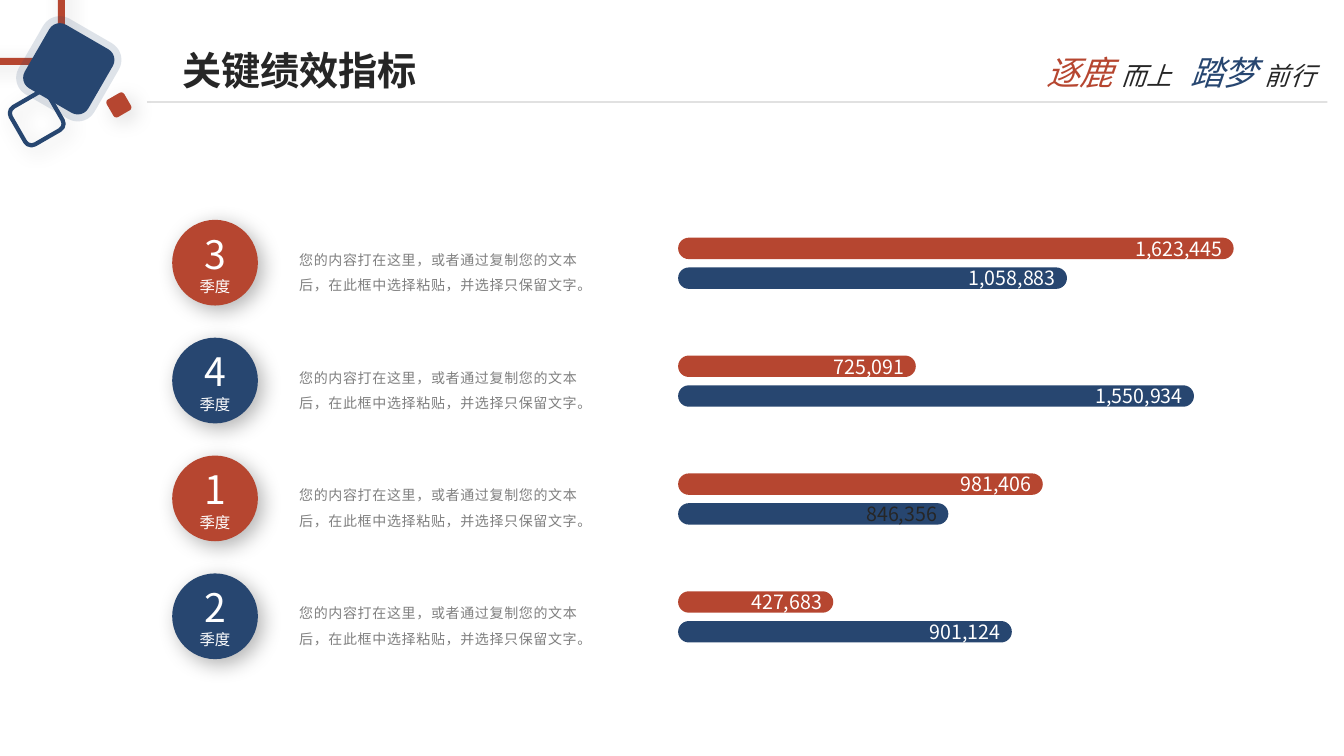
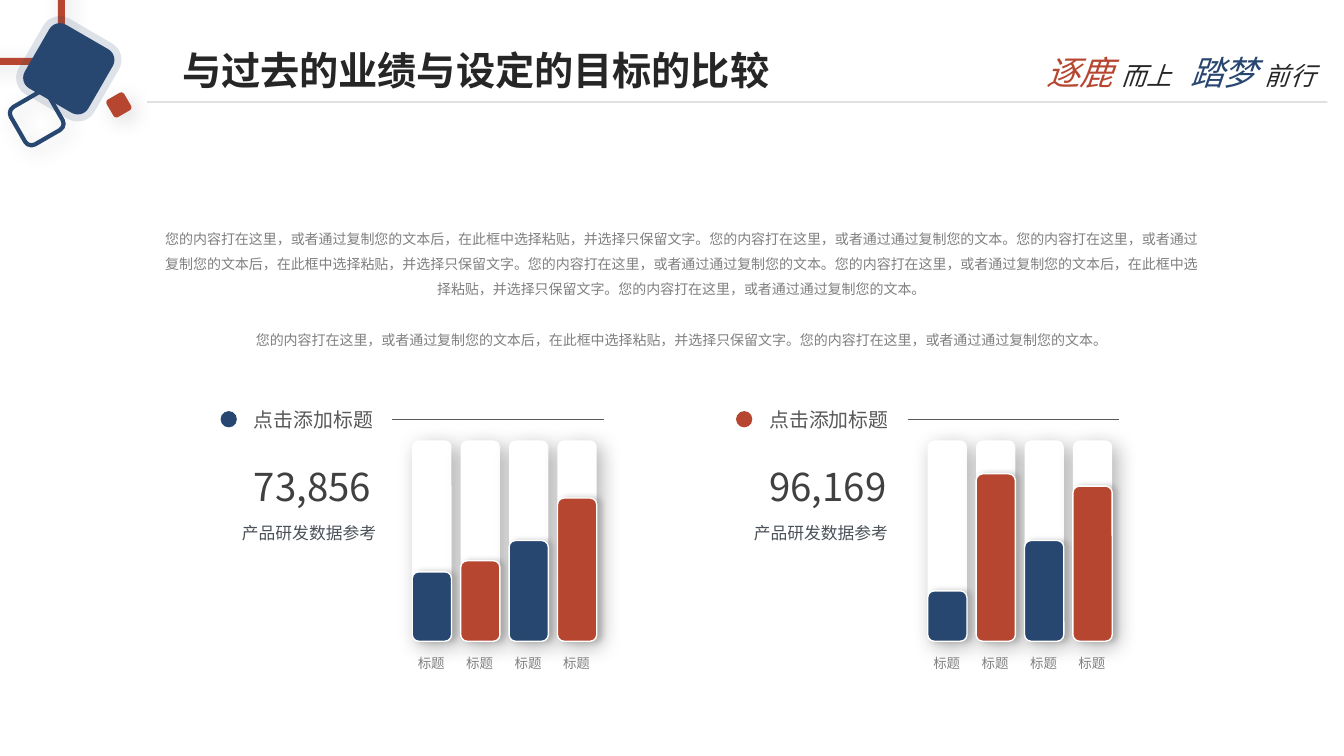
from lxml import etree
from pptx import Presentation
from pptx.dml.color import RGBColor
from pptx.enum.shapes import MSO_CONNECTOR, MSO_SHAPE
from pptx.enum.text import MSO_ANCHOR, PP_ALIGN
from pptx.oxml.ns import qn
from pptx.util import Cm, Pt

ROUND, OVAL = MSO_SHAPE.ROUNDED_RECTANGLE, MSO_SHAPE.OVAL
STRAIGHT = MSO_CONNECTOR.STRAIGHT
TOP, MIDDLE = MSO_ANCHOR.TOP, MSO_ANCHOR.MIDDLE
LEFT, CENTER, RIGHT, JUSTIFY = PP_ALIGN.LEFT, PP_ALIGN.CENTER, PP_ALIGN.RIGHT, PP_ALIGN.JUSTIFY

FONT = "Noto Sans CJK SC"
RED, BLUE, WHITE = "B64630", "274670", "FFFFFF"
INK, DARK, SLATE, GREY, PALE = "262626", "404040", "595959", "808080", "BFBFBF"
SOFT = ("000000", 15, 15, 5, 45)
DEEP = ("000000", 30, 15, 5, 45)
THIN = ("000000", 15, 5, 2, 45)
GLOW = ("808080", 40, 4, 3, 0)
INSET = (0.25, 0.13, 0.25, 0.13)

HINT = "您的内容打在这里，或者通过复制您的文本后，在此框中选择粘贴，并选择只保留文字。"
MORE = "您的内容打在这里，或者通过通过复制您的文本。"


def rgb(code):
    return RGBColor.from_string(code)


class Deck:
    """Holds the shared style and the current slide."""

    def __init__(self):
        self.prs = Presentation()
        self.prs.slide_width, self.prs.slide_height = Cm(33.87), Cm(19.05)
        self.slide = None

    def page(self, title, width):
        self.slide = self.prs.slides.add_slide(self.prs.slide_layouts[6])
        self.line(3.71, 33.45, 2.57, PALE, 1, alpha=70, shade=THIN)
        self.shape(ROUND, -0.91, -0.91, 2.46, 2.46, line=(RED, 5), shade=SOFT)
        self.shape(ROUND, 0.38, 2.44, 1.09, 1.09, line=(BLUE, 3), shade=SOFT, turn=60)
        self.shape(ROUND, 0.81, 0.81, 1.85, 1.85, BLUE, (BLUE, 10, 15), turn=30)
        self.shape(ROUND, 2.74, 2.39, 0.51, 0.51, RED, shade=SOFT, turn=60)
        big, small = {"size": 24, "italic": True}, {"size": 18, "italic": True, "color": INK}
        motto = [("逐鹿 ", {**big, "color": RED}), ("而上", small), (" ", {**big, "spc": 800}),
                 ("踏梦 ", {**big, "color": BLUE}), ("前行", small)]
        self.text(25.76, 1.17, 8, 1.27, [motto], align=CENTER)
        self.text(4.34, 0.81, width, 1.9, [[(title, {"size": 28, "bold": True, "color": INK})]],
                  anchor=MIDDLE)

    def shadow(self, item, shade):
        props = item._element.spPr
        effect = props.find(qn("a:effectLst"))
        if effect is None:
            effect = etree.SubElement(props, qn("a:effectLst"))
        if shade:
            color, alpha, blur, dist, angle = shade
            outer = etree.SubElement(effect, qn("a:outerShdw"), blurRad=str(Pt(blur)),
                                     dist=str(Pt(dist)), dir=str(angle * 60000),
                                     algn="tl", rotWithShape="0")
            tint = etree.SubElement(outer, qn("a:srgbClr"), val=color)
            etree.SubElement(tint, qn("a:alpha"), val=str(alpha * 1000))

    def stroke(self, item, color, width, alpha=100):
        item.line.color.rgb, item.line.width = rgb(color), Pt(width)
        if alpha < 100:
            tint = next(item._element.spPr.find(qn("a:ln")).iter(qn("a:srgbClr")))
            etree.SubElement(tint, qn("a:alpha"), val=str(alpha * 1000))

    def line(self, start, end, y, color, width, alpha=100, shade=None):
        item = self.slide.shapes.add_connector(STRAIGHT, Cm(start), Cm(y), Cm(end), Cm(y))
        self.stroke(item, color, width, alpha)
        self.shadow(item, shade)

    def shape(self, kind, x, y, w, h, fill=None, line=None, shade=None, turn=0, curve=None):
        item = self.slide.shapes.add_shape(kind, Cm(x), Cm(y), Cm(w), Cm(h))
        item.shadow.inherit = False
        item.rotation = turn
        if curve is not None:
            item.adjustments[0] = curve
        if fill:
            item.fill.solid()
            item.fill.fore_color.rgb = rgb(fill)
        else:
            item.fill.background()
        if line:
            self.stroke(item, *line)
        else:
            item.line.fill.background()
        self.shadow(item, shade)
        return item

    def text(self, x, y, w, h, paras, **form):
        box = self.slide.shapes.add_textbox(Cm(x), Cm(y), Cm(w), Cm(h))
        self.words(box.text_frame, paras, **form)

    def words(self, frame, paras, align=LEFT, anchor=TOP, inset=INSET, wrap=True,
              lead=None, gap=0):
        left, top, right, bottom = map(Cm, inset)
        form = {"margin_left": left, "margin_top": top, "margin_right": right,
                "margin_bottom": bottom, "word_wrap": wrap, "vertical_anchor": anchor}
        for key, value in form.items():
            setattr(frame, key, value)
        for i, runs in enumerate(paras):
            para = frame.add_paragraph() if i else frame.paragraphs[0]
            style = {"alignment": align, "line_spacing": lead,
                     "space_before": Pt(gap) if i else None}
            for key, value in style.items():
                setattr(para, key, value)
            for text, look in runs:
                self.piece(para, text, look)

    def piece(self, para, text, look):
        run = para.add_run()
        run.text = text
        form = {"name": FONT, "size": Pt(look["size"]), "bold": look.get("bold", False),
                "italic": look.get("italic", False)}
        for key, value in form.items():
            setattr(run.font, key, value)
        run.font.color.rgb = rgb(look.get("color", INK))
        props = run._r.get_or_add_rPr()
        etree.SubElement(props, qn("a:ea"), typeface=FONT)
        if "spc" in look:
            props.set("spc", str(look["spc"]))

    def badge(self, y, digit, fill):
        item = self.shape(OVAL, 4.34, y, 2.16, 2.16, fill, shade=DEEP)
        paras = [[(digit, {"size": 28, "color": WHITE})], [("季度", {"size": 11, "color": WHITE})]]
        self.words(item.text_frame, paras, align=CENTER, anchor=MIDDLE)

    def bar(self, y, width, value, fill, color):
        item = self.shape(ROUND, 17.09, y, width, 0.54, fill, curve=0.5)
        self.words(item.text_frame, [[(value, {"size": 14, "color": color})]],
                   align=RIGHT, anchor=MIDDLE, inset=(0, 0.13, 0.2, 0.13))

    def quarter(self, y, digit, fill, bars):
        for i, (width, value, color) in enumerate(bars):
            self.bar(y + 0.45 + 0.75 * i, width, value, (RED, BLUE)[i], color)
        self.text(7.54, y + 0.58, 7.01, 1.22, [[(HINT, {"size": 10, "color": GREY, "spc": 40})]],
                  align=JUSTIFY, inset=(0, 0, 0, 0), lead=Pt(18))
        self.badge(y, digit, fill)

    def panel(self, x, fill, total, note, bars):
        self.shape(OVAL, x, 10.36, 0.41, 0.41, fill)
        self.text(x + 0.59, 10.13, 3.56, 0.86,
                  [[("点击添加标题", {"size": 14.2, "color": SLATE})]], wrap=False)
        self.line(x + 4.32, x + 9.65, 10.57, SLATE, 0.5)
        self.text(x + 0.59, 11.53, 3.48, 1.42,
                  [[(total, {"size": 27.4, "color": DARK})]], wrap=False)
        spots = [x + 4.83 + 1.22 * i for i in range(len(bars))]
        for left in spots:
            self.shape(ROUND, left, 11.1, 0.99, 5.06, WHITE, shade=DEEP)
        for i, (left, high) in enumerate(zip(spots, bars)):
            self.shape(ROUND, left, 16.16 - high, 0.99, high, (BLUE, RED)[i % 2],
                       (WHITE, 1), GLOW)
            self.text(left - 0.11, 16.38, 1.19, 0.66,
                      [[("标题", {"size": 9.6, "color": GREY})]], wrap=False)
        self.text(note, 13.03, 3.94, 0.76,
                  [[("产品研发数据参考", {"size": 12, "color": "4C525A"})]],
                  align=CENTER, wrap=False)


def main():
    deck = Deck()
    deck.page("关键绩效指标", 8.51)
    rows = [
        ("3", RED, [(14, "1,623,445", WHITE), (9.8, "1,058,883", WHITE)]),
        ("4", BLUE, [(5.99, "725,091", WHITE), (13, "1,550,934", WHITE)]),
        ("1", RED, [(9.19, "981,406", WHITE), (6.81, "846,356", INK)]),
        ("2", BLUE, [(3.91, "427,683", WHITE), (8.41, "901,124", WHITE)]),
    ]
    for i, row in enumerate(rows):
        deck.quarter(5.54 + 2.97 * i, *row)

    deck.page("与过去的业绩与设定的目标的比较", 16.18)
    look = {"size": 10, "color": GREY}
    body = HINT + MORE + HINT + MORE + HINT + MORE
    deck.text(3.78, 5.46, 26.77, 3.45, [[(body, look)], [(HINT + MORE, look)]],
              align=CENTER, lead=1.5, gap=18)
    deck.panel(5.56, BLUE, "73,856", 5.82, [1.75, 2.03, 2.54, 3.61])
    deck.panel(18.55, RED, "96,169", 18.72, [1.27, 4.22, 2.54, 3.91])
    deck.prs.save("out.pptx")


if __name__ == "__main__":
    main()
